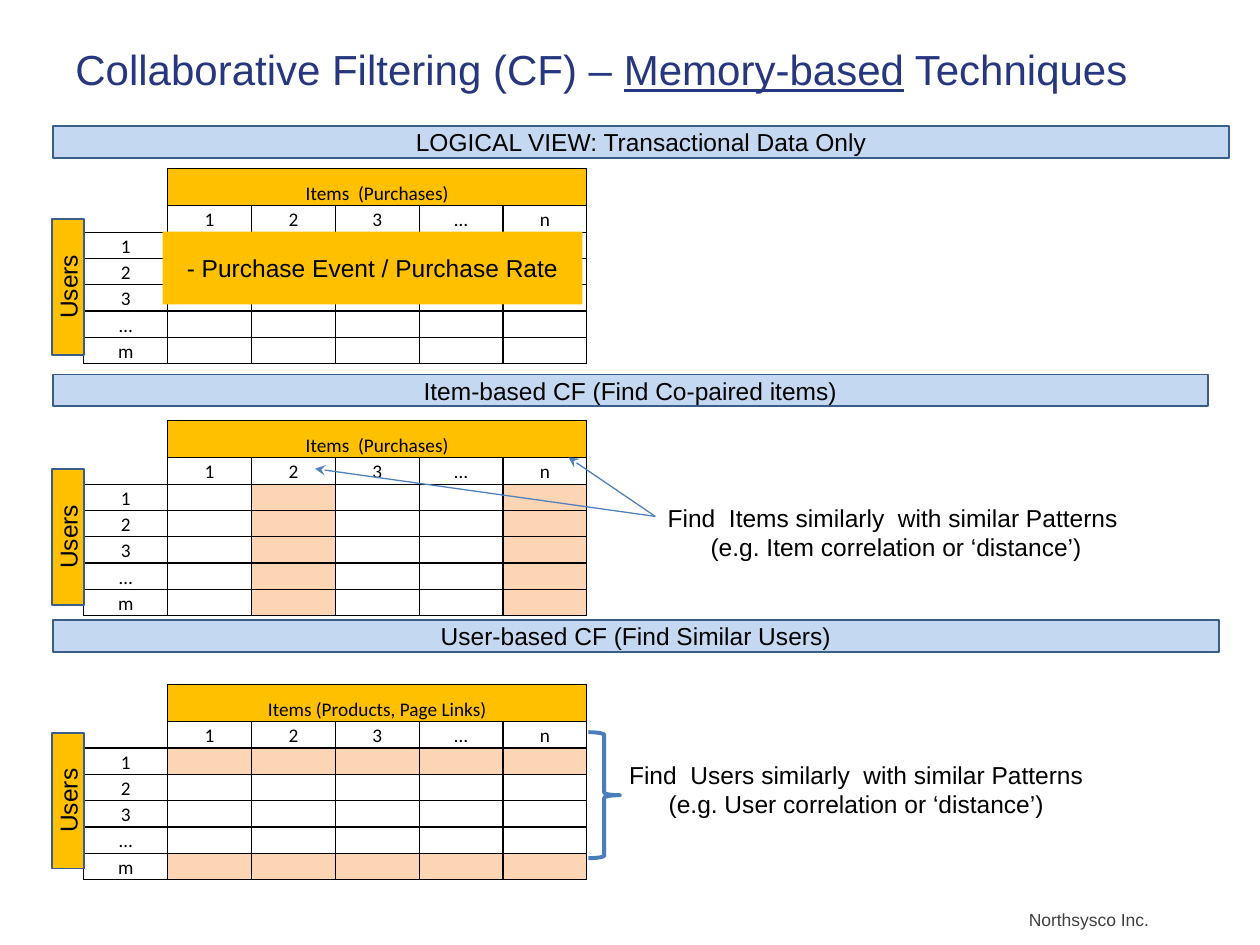
from dataclasses import dataclass
from typing import Callable, Optional

from lxml.etree import SubElement
from pptx import Presentation
from pptx.dml.color import RGBColor
from pptx.enum.shapes import MSO_CONNECTOR as Connector, MSO_SHAPE as Shape
from pptx.enum.text import MSO_ANCHOR as Anchor, PP_ALIGN as Align
from pptx.oxml.ns import qn
from pptx.util import Cm, Pt

BLACK, WHITE, GOLD, PEACH = "000000", "FFFFFF", "FFC000", "FCD5B4"
BAR_BLUE, EDGE_BLUE = "C5D8F1", "395E8A"
COLUMNS = ["1", "2", "3", "…", "n"]
USERS = ["1", "2", "3", "…", "m"]
COLUMN_WIDTH, HEADER_HEIGHT, ROW_HEIGHT = 1.69, 0.75, 0.53


@dataclass
class Area:
    left: float
    top: float
    width: float
    height: float

    def lengths(self) -> list:
        return [Cm(v) for v in (self.left, self.top, self.width, self.height)]


@dataclass
class Section:
    heading: str
    bar_top: float
    bar_width: float
    users_top: float
    table_top: float
    table_heading: str
    marked: Callable[[int, int], bool]


SECTIONS = [
    Section("LOGICAL VIEW: Transactional Data Only", 2.54, 23.71, 5.46, 3.4,
            "Items  (Purchases)", lambda user, item: False),
    Section("Item-based CF (Find Co-paired items)", 7.55, 23.28, 10.5, 8.48,
            "Items  (Purchases)", lambda user, item: item in (2, 5)),
    Section("User-based CF (Find Similar Users)", 12.5, 23.5, 15.82, 13.8,
            "Items (Products, Page Links)", lambda user, item: user in (1, 5)),
]


def color(value: str) -> RGBColor:
    return RGBColor.from_string(value)


def style_text(para, size: float, value: str = BLACK, font: str = "Arial",
               align=Align.CENTER) -> None:
    para.alignment = align
    para.font.size = Pt(size)
    para.font.name = font
    para.font.color.rgb = color(value)


def add_box(page, area: Area, lines: list[str], fill: str,
            line: Optional[str] = None, side: float = 0, rotation: float = 0) -> None:
    box = page.shapes.add_shape(Shape.RECTANGLE, *area.lengths())
    box.shadow.inherit = False
    box.rotation = rotation
    box.fill.solid()
    box.fill.fore_color.rgb = color(fill)
    if line:
        box.line.color.rgb = color(line)
        box.line.width = Pt(1)
    else:
        box.line.fill.background()
    frame = box.text_frame
    frame.word_wrap = True
    frame.vertical_anchor = Anchor.MIDDLE
    frame.margin_left = frame.margin_right = Cm(side)
    for index, text in enumerate(lines):
        para = frame.add_paragraph() if index else frame.paragraphs[0]
        para.text = text
        style_text(para, 14)


def add_text(page, area: Area):
    frame = page.shapes.add_textbox(*area.lengths()).text_frame
    frame.word_wrap = True
    return frame


def set_borders(cell, sides: str) -> None:
    """Draw the named sides (L, R, T, B) in black and clear the others."""
    props = cell._tc.get_or_add_tcPr()
    for index, side in enumerate("LRTB"):
        border = props.makeelement(qn(f"a:ln{side}"), {"w": str(Pt(0.75))})
        props.insert(index, border)
        if side in sides:
            fill = SubElement(border, qn("a:solidFill"))
            SubElement(fill, qn("a:srgbClr"), val=BLACK)
        else:
            SubElement(border, qn("a:noFill"))


def fill_cell(cell, text: str, fill: Optional[str], sides: str) -> None:
    cell.margin_left = cell.margin_right = cell.margin_top = Cm(0.03)
    cell.margin_bottom = 0
    cell.vertical_anchor = Anchor.BOTTOM
    if fill:
        cell.fill.solid()
        cell.fill.fore_color.rgb = color(fill)
    else:
        cell.fill.background()
    set_borders(cell, sides)
    para = cell.text_frame.paragraphs[0]
    if text:
        para.text = text
        style_text(para, 11, font="Calibri")
    else:
        # An empty cell takes its line height from the end mark
        SubElement(para._p, qn("a:endParaRPr"), sz="1100")


def add_matrix(page, section: Section) -> None:
    rows, columns = len(USERS) + 2, len(COLUMNS) + 1
    area = Area(COLUMN_WIDTH, section.table_top, columns * COLUMN_WIDTH,
                HEADER_HEIGHT + (rows - 1) * ROW_HEIGHT)
    table = page.shapes.add_table(rows, columns, *area.lengths()).table
    table.first_row = table.horz_banding = False
    for column in table.columns:
        column.width = Cm(COLUMN_WIDTH)
    for index, row in enumerate(table.rows):
        row.height = Cm(ROW_HEIGHT if index else HEADER_HEIGHT)

    texts = [["", section.table_heading] + [""] * (columns - 2), ["", *COLUMNS]]
    texts += [[user] + [""] * (columns - 1) for user in USERS]
    for r, row_texts in enumerate(texts):
        for c, text in enumerate(row_texts):
            fill, sides = None, "LRTB"
            if c == 0 and r < 2:
                sides = "RB" if r else "R"
            elif r == 0:
                fill = GOLD
            elif r > 1 and c > 0 and section.marked(r - 1, c):
                fill = PEACH
            fill_cell(table.cell(r, c), text, fill, sides)
    table.cell(0, 1).merge(table.cell(0, columns - 1))


def add_arrow(page, start: tuple[float, float], end: tuple[float, float]) -> None:
    arrow = page.shapes.add_connector(
        Connector.STRAIGHT, *[Cm(v) for v in (*start, *end)])
    arrow.line.color.rgb = color("4F81BD")
    arrow.line.width = Pt(0.75)
    SubElement(arrow.line._get_or_add_ln(), qn("a:tailEnd"), type="stealth")
    SubElement(arrow._element.spPr, qn("a:effectLst"))


def main() -> None:
    deck = Presentation()
    deck.slide_width, deck.slide_height = Cm(25.4), Cm(19.05)
    page = deck.slides.add_slide(deck.slide_layouts[6])

    # Title
    para = add_text(page, Area(1.27, 0.76, 22.86, 3.18)).paragraphs[0]
    for text, underlined in [("Collaborative Filtering (CF) – ", False),
                             ("Memory-based", True), (" Techniques", False)]:
        span = para.add_run()
        span.text = text
        span.font.underline = underlined
    style_text(para, 24, "26377F", align=Align.LEFT)

    # Footer
    frame = add_text(page, Area(20.29, 18.21, 3.12, 0.64))
    frame.vertical_anchor = Anchor.MIDDLE
    frame.paragraphs[0].text = "Northsysco Inc."
    style_text(frame.paragraphs[0], 10, "404040", align=Align.RIGHT)

    # Heading bar, user-by-item matrix and sideways label of each view
    for section in SECTIONS:
        add_box(page, Area(1.07, section.bar_top, section.bar_width, 0.64),
                [section.heading], BAR_BLUE, EDGE_BLUE, side=0.25)
        add_matrix(page, section)
        add_box(page, Area(0, section.users_top, 2.74, 0.64), ["Users"],
                GOLD, EDGE_BLUE, side=0.25, rotation=270)

    # Notes on the views
    add_box(page, Area(3.28, 4.67, 8.46, 1.47),
            ["- Purchase Event / Purchase Rate"], GOLD)
    add_box(page, Area(12.9, 9.78, 10.34, 1.9),
            ["Find  Items similarly  with similar Patterns ",
             "(e.g. Item correlation or ‘distance’)"], WHITE)
    add_box(page, Area(12.5, 14.96, 9.53, 1.9),
            ["Find  Users similarly  with similar Patterns "
             "(e.g. User correlation or ‘distance’)"], WHITE)

    # Brace joining the similar users
    brace = page.shapes.add_shape(
        Shape.LEFT_BRACE, *Area(11.86, 14.76, 0.64, 2.54).lengths())
    brace.shadow.inherit = False
    brace.rotation = 180
    brace.fill.background()
    brace.line.color.rgb = color("4A7DBB")
    brace.line.width = Pt(2.25)

    # Arrows to the similar items
    for end in [(6.35, 9.45), (11.46, 9.22)]:
        add_arrow(page, (13.21, 10.41), end)

    deck.save("out.pptx")


if __name__ == "__main__":
    main()
